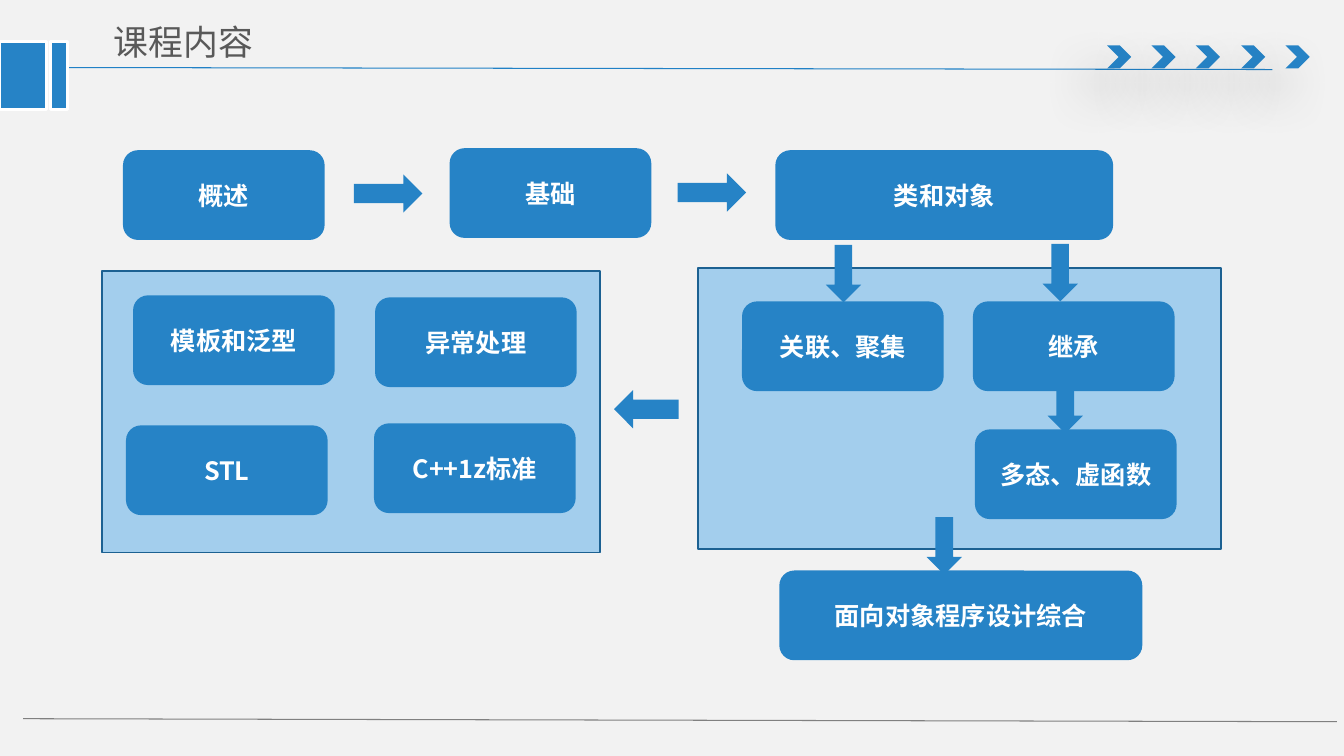
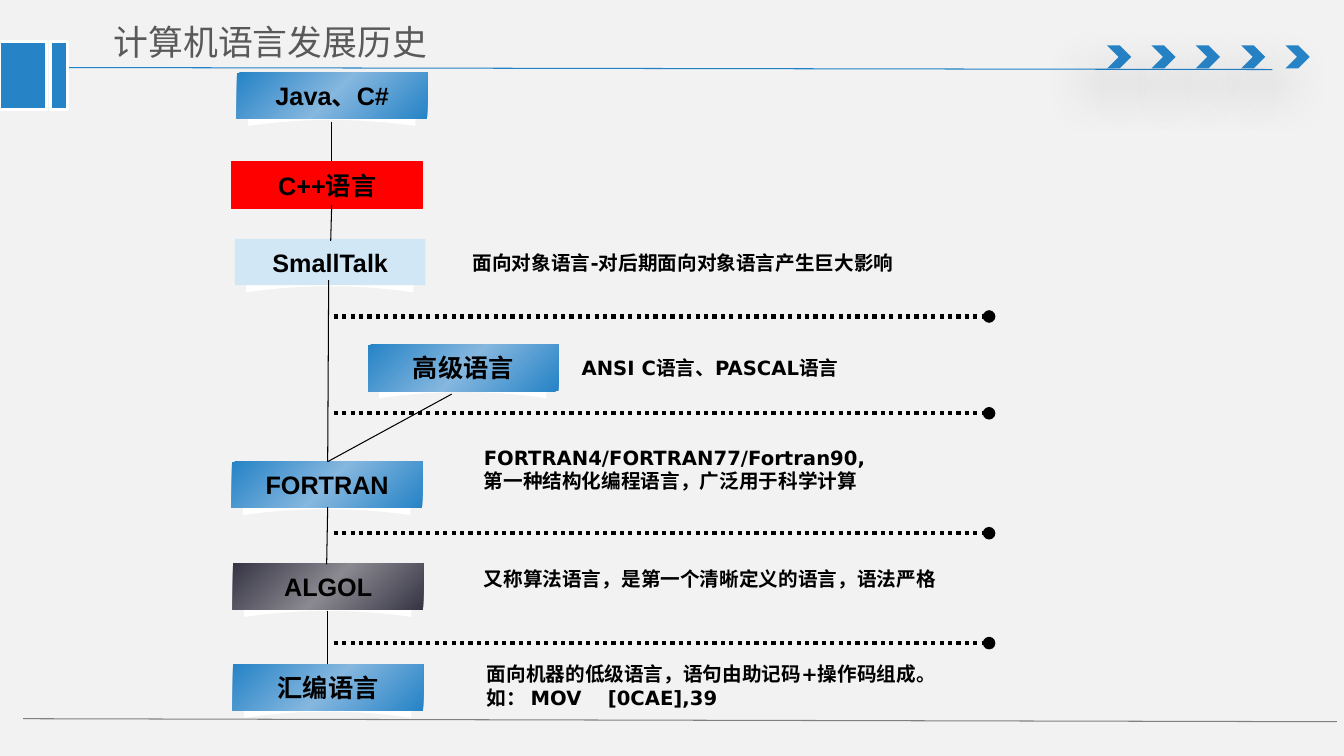
"""Build two slides on a C++ course: its contents and the history of languages."""
from copy import deepcopy

from lxml.etree import SubElement
from pptx import Presentation
from pptx.dml.color import RGBColor
from pptx.enum.dml import MSO_LINE
from pptx.enum.shapes import MSO_CONNECTOR, MSO_SHAPE
from pptx.enum.text import MSO_ANCHOR, MSO_AUTO_SIZE, PP_ALIGN
from pptx.oxml.ns import qn
from pptx.util import Pt

PX = 9144
CJK = "Noto Sans CJK SC"
LATIN = "Arial"
NOTE = "DejaVu Sans"
COLORS = {
    "page": "F2F2F2", "blue": "2683C6", "rule": "2181C6", "gray": "808080",
    "title": "595959", "panel": "A3CEED", "panel_edge": "1C6192",
    "white": "FFFFFF", "black": "000000", "red": "FF0000", "pale": "D1E7F6",
    "blue_mid": "85B7DF", "dark": "373545", "dark_mid": "8A8990",
}


def px(*values):
    """Turn whole px into EMU."""
    return [v * PX for v in values]


def rgb(name):
    """Look up a named colour."""
    return RGBColor.from_string(COLORS[name])


def set_font(p, name, size, color, bold=False):
    """Format a whole paragraph, Latin and East Asian text alike."""
    f = p.font
    f.name, f.size, f.bold = name, Pt(size), bold
    f.color.rgb = rgb(color)
    if name == CJK:
        SubElement(p._p.pPr.find(qn("a:defRPr")), qn("a:ea"), typeface=name)


def add_shape(shapes, kind, box, fill, edge=None, width=1):
    """Add a preset shape with a flat fill and an optional outline."""
    sp = shapes.add_shape(kind, *px(*box))
    sp.shadow.inherit = False
    sp.fill.solid()
    sp.fill.fore_color.rgb = rgb(fill)
    if edge:
        sp.line.color.rgb = rgb(edge)
        sp.line.width = Pt(width)
    else:
        sp.line.fill.background()
    return sp


def add_label(sp, text, font, color):
    """Write a bold centred label in a shape."""
    tf = sp.text_frame
    tf.vertical_anchor = MSO_ANCHOR.MIDDLE
    tf.word_wrap = font == CJK
    p = tf.paragraphs[0]
    p.text = text
    p.alignment = PP_ALIGN.CENTER
    set_font(p, font, 18, color, True)


def add_line(s, ends, color="black", width=0.75):
    """Add a straight line without a shadow."""
    line = s.shapes.add_connector(MSO_CONNECTOR.STRAIGHT, *px(*ends))
    line.line.color.rgb = rgb(color)
    line.line.width = Pt(width)
    SubElement(line._element.spPr, qn("a:effectLst"))
    return line


def add_dotted_line(s, y):
    """Add a dotted divider that ends in a dot."""
    line = add_line(s, (331, y, 981, y), width=3)
    line.line.dash_style = MSO_LINE.ROUND_DOT
    SubElement(line.line._get_or_add_ln(), qn("a:tailEnd"), type="oval")


def add_soft_shadow(sp):
    """Give a shape a wide blurred shadow."""
    effects = sp._element.spPr.find(qn("a:effectLst"))
    shadow = SubElement(effects, qn("a:outerShdw"), blurRad=str(Pt(36)),
                        dist=str(Pt(24)), dir="7800000", rotWithShape="0")
    color = SubElement(shadow, qn("a:srgbClr"), val=COLORS["black"])
    SubElement(color, qn("a:alpha"), val="38000")


def set_gradient(sp, outer, middle):
    """Fill a shape with a diagonal gradient, lighter in the middle."""
    sp.fill.gradient()
    sp.fill.gradient_angle = 315
    stops = sp._element.spPr.find(qn("a:gradFill")).find(qn("a:gsLst"))
    stops.insert(1, deepcopy(stops[0]))
    for stop, at, color in zip(sp.fill.gradient_stops, (0, 0.5, 1),
                               (outer, middle, outer)):
        stop.position = at
        stop.color.rgb = rgb(color)


def add_box(s, text, x, y, w=200):
    """Add a rounded topic box."""
    sp = add_shape(s.shapes, MSO_SHAPE.ROUNDED_RECTANGLE, (x, y, w, 89), "blue")
    add_label(sp, text, CJK, "white")


def add_plaque(s, text, x, y, fill, middle=None):
    """Add a language plaque with a white curl under it."""
    group = s.shapes.add_group_shape()
    left, top = x + 11, y + 31
    arc = [(left + 83 + 83 * u / 10, top + 16 + 6 * u * u / 100)
           for u in range(10, -11, -1)]
    points = arc + [(left, top + 5), (left + 83, top), (left + 166, top + 5)]
    builder = group.shapes.build_freeform(*px(*points[0]))
    builder.add_line_segments([px(*pt) for pt in points[1:]])
    curl = builder.convert_to_shape()
    curl.shadow.inherit = False
    curl.fill.solid()
    curl.fill.fore_color.rgb = rgb("white")
    curl.line.fill.background()
    sp = add_shape(group.shapes, MSO_SHAPE.RECTANGLE, (x, y, 189, 46), fill)
    if middle:
        set_gradient(sp, fill, middle)
    add_label(sp, text, LATIN, "black")


def add_note(s, box, *lines, tab=None):
    """Add a bold note, one paragraph a line, with an optional tab stop."""
    tf = s.shapes.add_textbox(*px(*box)).text_frame
    tf.word_wrap = True
    tf.auto_size = MSO_AUTO_SIZE.SHAPE_TO_FIT_TEXT
    for i, text in enumerate(lines):
        p = tf.add_paragraph() if i else tf.paragraphs[0]
        p.text = text
        if tab:
            tabs = SubElement(p._p.get_or_add_pPr(), qn("a:tabLst"))
            SubElement(tabs, qn("a:tab"), pos=str(tab * PX), algn="l")
        set_font(p, NOTE, 14, "black", True)
    return tf


def add_frame(prs, layout):
    """Draw the shared rules, chevrons and blocks and move them to the layout."""
    layout.background.fill.solid()
    layout.background.fill.fore_color.rgb = rgb("page")
    s = prs.slides[0]
    parts = [add_line(s, (53, 67, 1262, 69), "rule")]
    for i in range(5):
        sp = add_shape(s.shapes, MSO_SHAPE.CHEVRON,
                       (1098 + round(44.25 * i), 45, 24, 23), "blue")
        add_soft_shadow(sp)
        parts.append(sp)
    parts.append(add_line(s, (23, 713, 1326, 716), "gray"))
    for x, w in ((0, 46), (50, 17)):
        parts.append(add_shape(s.shapes, MSO_SHAPE.RECTANGLE, (x, 41, w, 68),
                               "blue", "white", 2))
    for part in parts:
        layout.shapes._spTree.append(part._element)


def add_slide(prs, layout, title):
    """Add a title-only slide and style its title."""
    s = prs.slides.add_slide(layout)
    sp = s.shapes.title
    sp.left, sp.top, sp.width, sp.height = px(99, 14, 463, 55)
    tf = sp.text_frame
    tf.margin_left, tf.margin_top, tf.margin_right, tf.margin_bottom = px(14, 7, 14, 7)
    tf.vertical_anchor = MSO_ANCHOR.MIDDLE
    tf.auto_size = MSO_AUTO_SIZE.NONE
    p = tf.paragraphs[0]
    p.text = title
    p.alignment = PP_ALIGN.LEFT
    set_font(p, CJK, 24.9, "title")
    return s


def fill_contents(s):
    """Draw the course flow chart."""
    for box in ((101, 269, 494, 279), (692, 266, 519, 279)):
        add_shape(s.shapes, MSO_SHAPE.RECTANGLE, box, "panel", "panel_edge", 1.25)
    for kind, x, y, w, h in (
            (MSO_SHAPE.RIGHT_ARROW, 351, 173, 68, 38),
            (MSO_SHAPE.RIGHT_ARROW, 672, 172, 68, 38),
            (MSO_SHAPE.LEFT_ARROW, 609, 387, 64, 38)):
        add_shape(s.shapes, kind, (x, y, w, h), "blue")
    for box in (("概述", 122, 149), ("基础", 446, 147), ("类和对象", 769, 149, 335),
                ("关联、聚集", 736, 299), ("继承", 965, 299),
                ("多态、虚函数", 967, 426), ("面向对象程序设计综合", 773, 566, 360),
                ("模板和泛型", 132, 293), ("异常处理", 372, 295),
                ("STL", 125, 422), ("C++1z标准", 371, 420)):
        add_box(s, *box)
    for x, y in ((819, 243), (1034, 242), (1039, 373), (919, 513)):
        add_shape(s.shapes, MSO_SHAPE.DOWN_ARROW, (x, y, 35, 57), "blue")


def fill_history(s):
    """Draw the chain of languages with its notes."""
    for plaque in (("Java、C#", 235, 72, "blue", "blue_mid"),
                   ("SmallTalk", 233, 237, "pale"),
                   ("高级语言", 365, 342, "blue", "blue_mid"),
                   ("FORTRAN", 230, 458, "blue", "blue_mid"),
                   ("ALGOL", 231, 559, "dark", "dark_mid"),
                   ("汇编语言", 231, 659, "blue", "blue_mid")):
        add_plaque(s, *plaque)
    cpp = add_shape(s.shapes, MSO_SHAPE.RECTANGLE, (230, 160, 189, 47),
                    "red", "red", 0.75)
    add_label(cpp, "C++语言", LATIN, "black")
    for ends in ((329, 121, 329, 160), (329, 203, 328, 239), (326, 278, 325, 458),
                 (448, 391, 325, 458), (325, 503, 324, 560), (325, 606, 325, 659)):
        add_line(s, ends)
    for y in (314, 410, 529, 638):
        add_dotted_line(s, y)
    add_note(s, (459, 244, 442, 34), "面向对象语言-对后期面向对象语言产生巨大影响")
    add_note(s, (567, 348, 281, 34), "ANSI C语言、PASCAL语言")
    add_note(s, (470, 437, 418, 57), "FORTRAN4/FORTRAN77/Fortran90,",
             "第一种结构化编程语言，广泛用于科学计算")
    tf = add_note(s, (470, 558, 472, 34), "又称算法语言，是")
    r = tf.paragraphs[0].add_run()
    r.text = "第一个清晰定义的语言，语法严格"
    r.font.name = LATIN
    add_note(s, (473, 652, 469, 57),
             "面向机器的低级语言，语句由助记码+操作码组成。\v如： MOV\t[0CAE],39", tab=120)


def main():
    """Build and save the presentation."""
    prs = Presentation()
    prs.slide_width, prs.slide_height = px(1333, 750)
    layout = prs.slide_layouts[5]
    contents = add_slide(prs, layout, "课程内容")
    add_frame(prs, layout)
    fill_contents(contents)
    fill_history(add_slide(prs, layout, "计算机语言发展历史"))
    prs.save("out.pptx")


if __name__ == "__main__":
    main()
